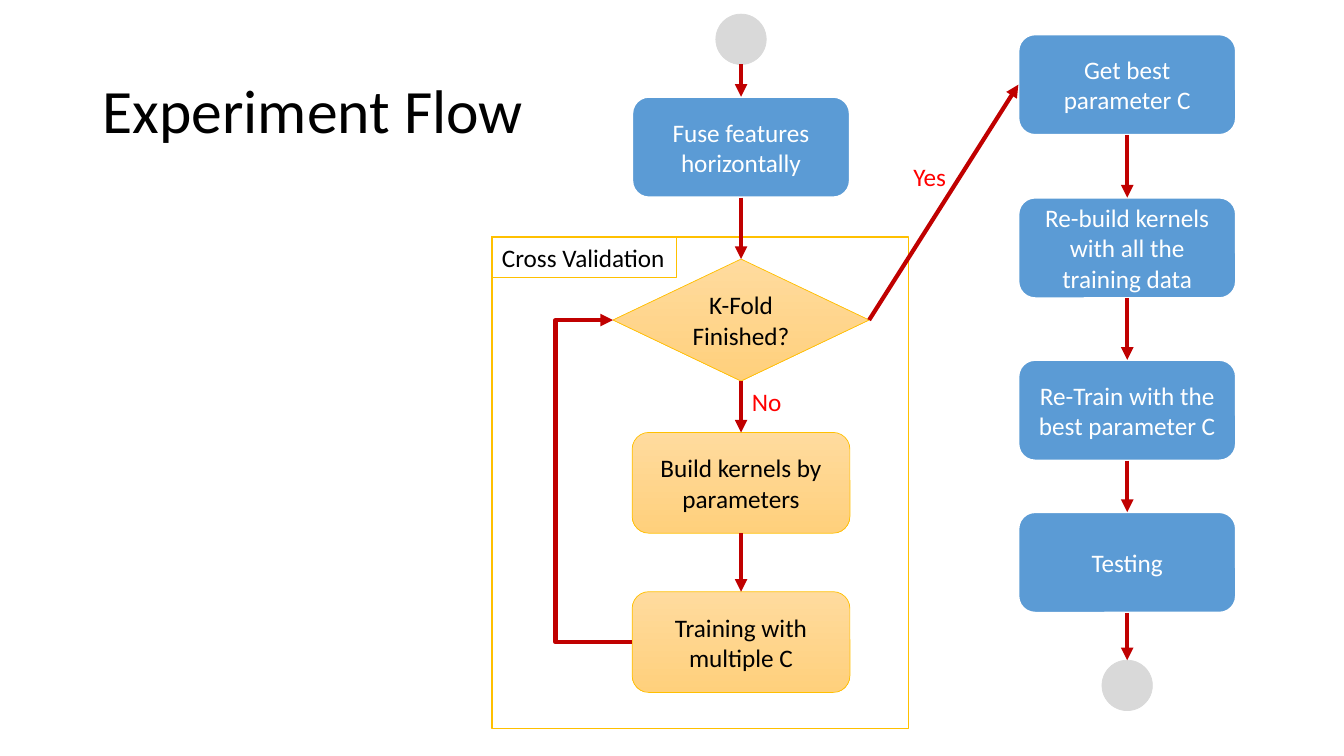
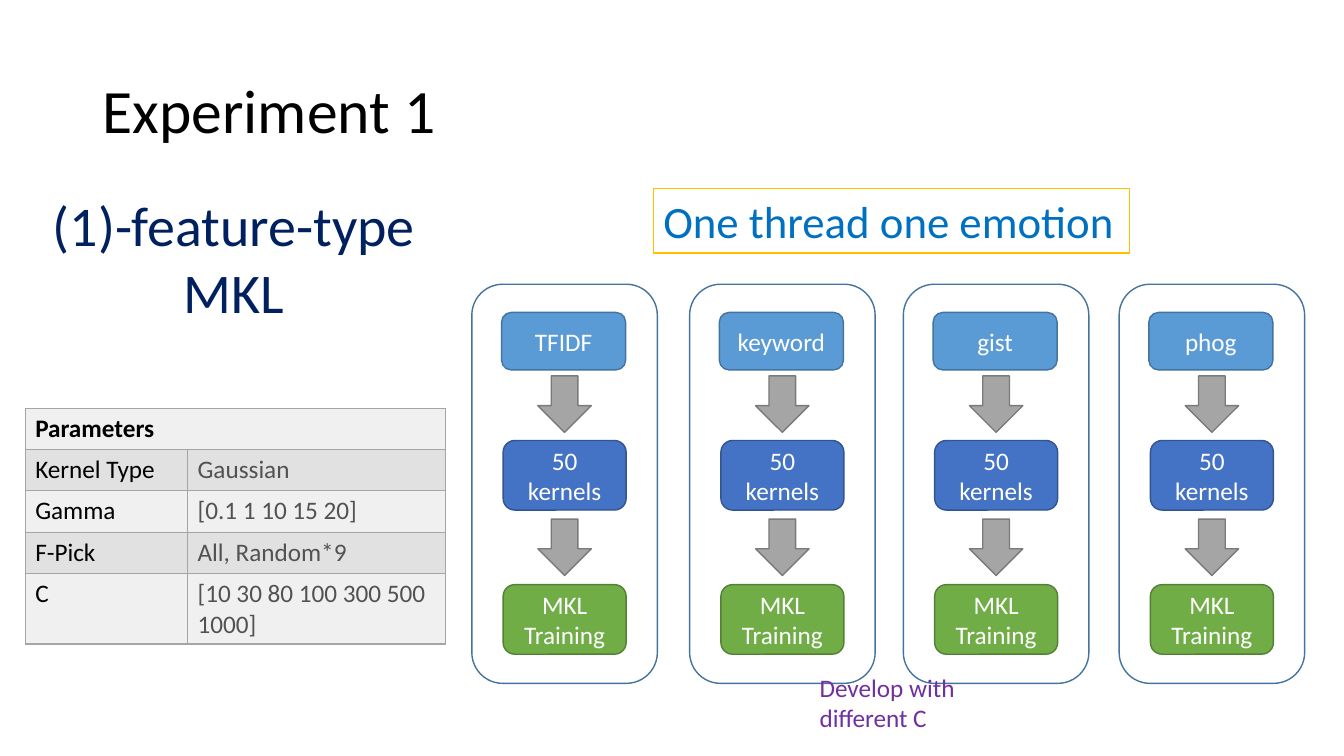
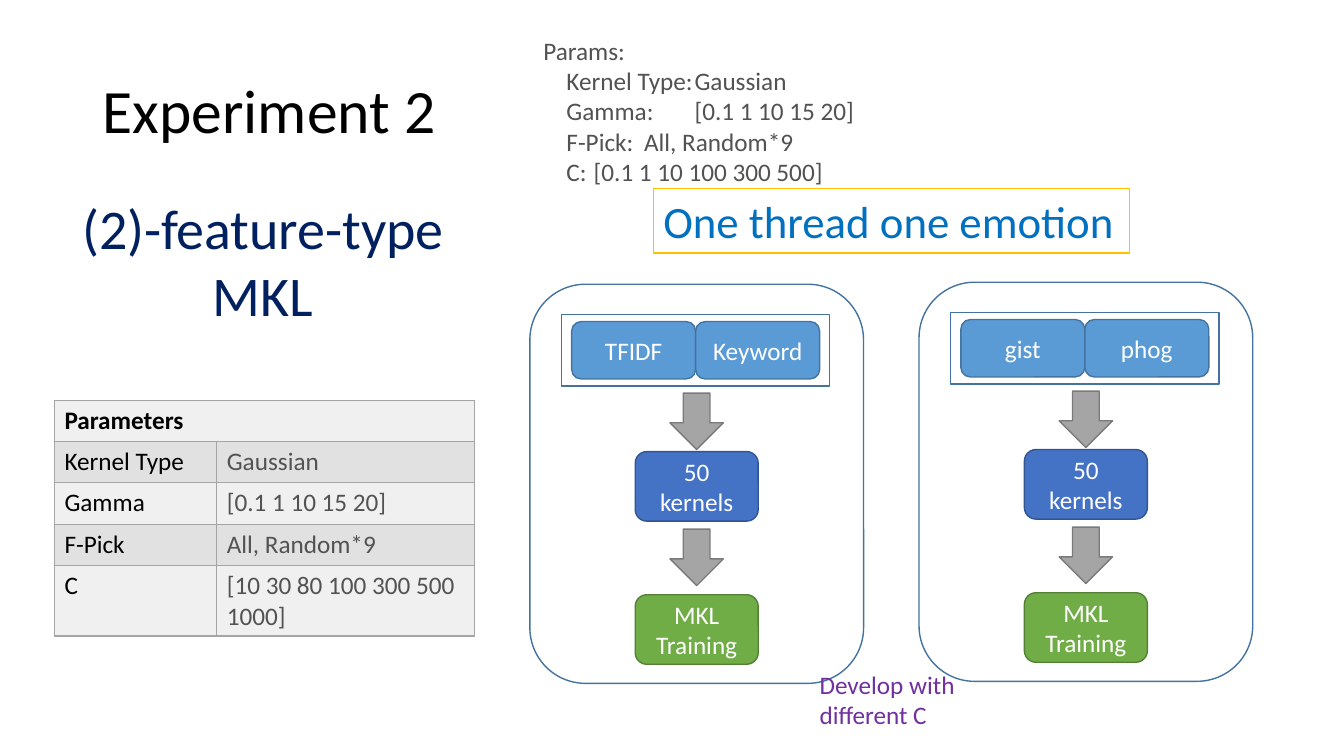
from pptx import Presentation
from pptx.dml.color import RGBColor
from pptx.enum.shapes import MSO_CONNECTOR as CONNECTOR, MSO_SHAPE as SHAPE
from pptx.enum.text import MSO_ANCHOR as ANCHOR, PP_ALIGN as ALIGN
from pptx.oxml.ns import qn
from pptx.util import Inches, Pt
from lxml.etree import SubElement

FONT = "Calibri"
BLACK = RGBColor(0x00, 0x00, 0x00)
WHITE = RGBColor(0xFF, 0xFF, 0xFF)
BLUE = RGBColor(0x5B, 0x9B, 0xD5)
BLUE_EDGE = RGBColor(0x43, 0x73, 0x9E)
INDIGO = RGBColor(0x44, 0x72, 0xC4)
INDIGO_EDGE = RGBColor(0x32, 0x54, 0x91)
GREEN = RGBColor(0x70, 0xAD, 0x47)
GREEN_EDGE = RGBColor(0x53, 0x80, 0x35)
GRAY = RGBColor(0xA5, 0xA5, 0xA5)
GRAY_EDGE = RGBColor(0x7A, 0x7A, 0x7A)
GRAY_TEXT = RGBColor(0x52, 0x52, 0x52)
SILVER = RGBColor(0xD9, 0xD9, 0xD9)
GOLD = RGBColor(0xFF, 0xC0, 0x00)
AMBER = [RGBColor(0xFF, 0xDB, 0x9E), RGBColor(0xFF, 0xD0, 0x7C)]
CRIMSON = RGBColor(0xC0, 0x00, 0x00)
RED = RGBColor(0xFF, 0x00, 0x00)
NAVY = RGBColor(0x00, 0x20, 0x60)
AZURE = RGBColor(0x00, 0x70, 0xC0)
PURPLE = RGBColor(0x70, 0x30, 0xA0)
STRIPES = [RGBColor(0xF0, 0xF0, 0xF0), RGBColor(0xE1, 0xE1, 0xE1)]

COLUMN = ROW = Inches(1)
COLUMNS, ROWS = 13.33, 7.5


def add_box(slide, kind, left, top, width, height, text="", fill=None, line=None, weight=1,
            color=WHITE, size=18, align=ALIGN.CENTER, anchor=ANCHOR.MIDDLE):
    place = [int(left * COLUMN), int(top * ROW), int(width * COLUMN), int(height * ROW)]
    if kind is None:
        shape = slide.shapes.add_textbox(*place)
    else:
        shape = slide.shapes.add_shape(kind, *place)
        shape.shadow.inherit = False
        shape.line.color.rgb = line
        shape.line.width = Pt(weight)
        if fill is None:
            shape.fill.background()
        elif isinstance(fill, list):
            shape.fill.gradient()
            shape.fill.gradient_angle = 270
            for stop, shade in zip(shape.fill.gradient_stops, fill):
                stop.color.rgb = shade
        else:
            shape.fill.solid()
            shape.fill.fore_color.rgb = fill
    frame = shape.text_frame
    frame.word_wrap = True
    frame.vertical_anchor = anchor
    if text:
        frame.text = text
    for paragraph in frame.paragraphs:
        paragraph.alignment = align
        paragraph.font.name = FONT
        paragraph.font.size = Pt(size)
        paragraph.font.color.rgb = color
    return shape


def add_arrow(slide, kind, *ends):
    arrow = slide.shapes.add_connector(kind, *[int(end * COLUMN) for end in ends])
    arrow.line.color.rgb = CRIMSON
    arrow.line.width = Pt(3)
    SubElement(arrow.line._get_or_add_ln(), qn("a:tailEnd"), type="triangle")
    SubElement(arrow._element.spPr, qn("a:effectLst"))
    return arrow


presentation = Presentation()
presentation.slide_width = int(COLUMNS * COLUMN)
presentation.slide_height = int(ROWS * ROW)
slides = []
for title in ["Experiment Flow", "Experiment 1", "Experiment 2"]:
    slide = presentation.slides.add_slide(presentation.slide_layouts[6])
    heading = add_box(slide, None, 0.92, 0.4, 11.5, 1.45, title,
                      color=BLACK, size=44, align=ALIGN.LEFT)
    heading.text_frame.paragraphs[0].line_spacing = 0.9
    slides.append(slide)

flow = slides[0]
STEP_WIDTH, STEP_HEIGHT, DOT = 2.16, 1, 0.5
MIDDLE, RIGHT = 7.35, 11.18
DECISION_TOP, DECISION_WIDTH, DECISION_HEIGHT = 2.57, 2.54, 1.21
decision_middle = DECISION_TOP + DECISION_HEIGHT / 2
decision_bottom = DECISION_TOP + DECISION_HEIGHT

add_box(flow, SHAPE.RECTANGLE, 4.88, 2.35, 4.13, 4.88, line=GOLD)
add_box(flow, SHAPE.RECTANGLE, 4.88, 2.35, 1.83, 0.4, "Cross Validation", line=GOLD, weight=0.75,
        color=BLACK, align=ALIGN.LEFT, anchor=ANCHOR.TOP)
add_box(flow, SHAPE.FLOWCHART_DECISION, MIDDLE - DECISION_WIDTH / 2, DECISION_TOP,
        DECISION_WIDTH, DECISION_HEIGHT, "K-Fold\nFinished?", AMBER, GOLD, 0.5, BLACK)
for center, top, text, fill, line, weight, color in [
    (MIDDLE, 0.96, "Fuse features horizontally", BLUE, WHITE, 1.5, WHITE),
    (MIDDLE, 4.29, "Build kernels by parameters", AMBER, GOLD, 0.5, BLACK),
    (MIDDLE, 5.87, "Training with multiple C", AMBER, GOLD, 0.5, BLACK),
    (RIGHT, 0.34, "Get best parameter C", BLUE, WHITE, 1.5, WHITE),
    (RIGHT, 1.96, "Re-build kernels with all the training data", BLUE, WHITE, 1.5, WHITE),
    (RIGHT, 3.57, "Re-Train with the best parameter C", BLUE, WHITE, 1.5, WHITE),
    (RIGHT, 5.08, "Testing", BLUE, WHITE, 1.5, WHITE),
]:
    add_box(flow, SHAPE.ROUNDED_RECTANGLE, center - STEP_WIDTH / 2, top, STEP_WIDTH, STEP_HEIGHT,
            text, fill, line, weight, color)
for center, top in [(MIDDLE, 0.14), (RIGHT, 6.55)]:
    add_box(flow, SHAPE.OVAL, center - DOT / 2, top, DOT, DOT, fill=SILVER, line=SILVER, weight=0.5)
for center, start, end in [
    (MIDDLE, 0.64, 0.96), (MIDDLE, 1.96, DECISION_TOP), (MIDDLE, decision_bottom, 4.29),
    (MIDDLE, 5.29, 5.87), (RIGHT, 1.34, 1.96), (RIGHT, 2.96, 3.57), (RIGHT, 4.57, 5.08),
    (RIGHT, 6.08, 6.55),
]:
    add_arrow(flow, CONNECTOR.STRAIGHT, center, start, center, end)
add_arrow(flow, CONNECTOR.STRAIGHT, MIDDLE + DECISION_WIDTH / 2, decision_middle,
          RIGHT - STEP_WIDTH / 2, 0.84)
loop_start, loop_end, loop_side = MIDDLE - STEP_WIDTH / 2, MIDDLE - DECISION_WIDTH / 2, 5.51
loop = add_arrow(flow, CONNECTOR.ELBOW, loop_start, 6.37, loop_end, decision_middle)
bend = round(100000 * (loop_start - loop_side) / (loop_start - loop_end))
SubElement(loop._element.spPr.prstGeom.get_or_add_avLst(), qn("a:gd"),
           name="adj1", fmla=f"val {bend}")
for left, top, width, text in [(7.36, 3.78, 0.6, "No"), (8.96, 1.55, 0.66, "Yes")]:
    add_box(flow, None, left, top, width, 0.4, text, color=RED, align=ALIGN.LEFT, anchor=ANCHOR.TOP)

PARAMETERS = [
    ("Parameters", ""),
    ("Kernel Type", "Gaussian"),
    ("Gamma", "[0.1 1 10 15 20]"),
    ("F-Pick", "All, Random*9"),
    ("C", "[10 30 80 100 300 500 1000]"),
]
FRAME_HEIGHT = 3.96
FEATURE_WIDTH, FEATURE_HEIGHT = 1.23, 0.57
STAGES = [
    (SHAPE.DOWN_ARROW, 0.53, 0.56, "", GRAY, GRAY_EDGE),
    (SHAPE.ROUNDED_RECTANGLE, 1.22, 0.69, "50 kernels", INDIGO, INDIGO_EDGE),
    (SHAPE.DOWN_ARROW, 0.53, 0.56, "", GRAY, GRAY_EDGE),
    (SHAPE.ROUNDED_RECTANGLE, 1.22, 0.69, "MKL Training", GREEN, GREEN_EDGE),
]
EXPERIMENTS = [
    (slides[1], "(1)-feature-type MKL", 0.25, 1.84, 4.05, 6.62, 1.84, 0.28, [0.91, 1.55, 2.33, 2.98],
     [(5.6, 2.82, ["TFIDF"]), (7.76, 2.82, ["keyword"]),
      (9.88, 2.82, ["gist"]), (12.02, 2.82, ["phog"])]),
    (slides[2], "(2)-feature-type MKL", 0.54, 1.87, 3.97, 6.59, 3.31, 0.37, [1.08, 1.66, 2.43, 3.08],
     [(6.91, 2.82, ["TFIDF", "Keyword"]), (10.77, 2.8, ["gist", "phog"])]),
]
for (slide, subtitle, left, subtitle_top, table_top, note_top, frame_width,
     feature_offset, stage_offsets, threads) in EXPERIMENTS:
    add_box(slide, None, left, subtitle_top, 4.14, 1.45, subtitle,
            color=NAVY, size=40, anchor=ANCHOR.TOP)
    add_box(slide, SHAPE.RECTANGLE, 6.48, 1.87, 4.72, 0.64, "One thread one emotion", WHITE, GOLD,
            color=AZURE, size=32, align=ALIGN.LEFT, anchor=ANCHOR.TOP)
    for center, top, features in threads:
        add_box(slide, SHAPE.ROUNDED_RECTANGLE, center - frame_width / 2, top,
                frame_width, FRAME_HEIGHT, line=BLUE_EDGE)
        feature_left = center - 0.01 - FEATURE_WIDTH * len(features) / 2
        for index, feature in enumerate(features):
            add_box(slide, SHAPE.ROUNDED_RECTANGLE, feature_left + index * FEATURE_WIDTH,
                    top + feature_offset, FEATURE_WIDTH, FEATURE_HEIGHT, feature, BLUE, BLUE_EDGE)
        if len(features) > 1:
            add_box(slide, SHAPE.RECTANGLE, feature_left - 0.1, top + feature_offset - 0.07,
                    2.66, 0.71, line=BLUE_EDGE)
        for offset, (kind, width, height, text, fill, line) in zip(stage_offsets, STAGES):
            add_box(slide, kind, center - width / 2, top + offset, width, height, text, fill, line)
    add_box(slide, None, 8.03, note_top, 1.62, 0.71, "Develop with\ndifferent C",
            color=PURPLE, align=ALIGN.LEFT, anchor=ANCHOR.TOP)

    table = slide.shapes.add_table(len(PARAMETERS), 2, int(left * COLUMN), int(table_top * ROW),
                                   int(4.17 * COLUMN), int(2.34 * ROW)).table
    for column, width in zip(table.columns, [1.61, 2.56]):
        column.width = int(width * COLUMN)
    for row, height in zip(table.rows, [0.41, 0.41, 0.41, 0.41, 0.7]):
        row.height = int(height * ROW)
    table.cell(0, 0).merge(table.cell(0, 1))
    for row, texts in enumerate(PARAMETERS):
        for column, text in enumerate(texts):
            cell = table.cell(row, column)
            for side in ["a:lnL", "a:lnR", "a:lnT", "a:lnB"]:
                border = SubElement(cell._tc.get_or_add_tcPr(), qn(side), w=str(Pt(1)))
                SubElement(SubElement(border, qn("a:solidFill")), qn("a:srgbClr"), val=str(GRAY))
            cell.fill.solid()
            cell.fill.fore_color.rgb = STRIPES[row % 2]
            if text:
                cell.text = text
                font = cell.text_frame.paragraphs[0].font
                font.name = FONT
                font.size = Pt(18)
                font.bold = row == 0
                font.color.rgb = GRAY_TEXT if column else BLACK

summary = add_box(slides[2], None, 5.29, 0.3, 4.52, 1.62,
                  "Params:\nKernel Type:\tGaussian\nGamma:\t[0.1 1 10 15 20]\n"
                  "F-Pick:\tAll, Random*9\nC:\t[0.1 1 10 100 300 500]",
                  color=GRAY_TEXT, align=ALIGN.LEFT, anchor=ANCHOR.TOP)
for paragraph in summary.text_frame.paragraphs[1:]:
    properties = paragraph._p.get_or_add_pPr()
    properties.set("marL", "0")
    properties.set("indent", str(int(0.23 * COLUMN)))
    tabs = properties.makeelement(qn("a:tabLst"))
    properties.insert(0, tabs)
    SubElement(tabs, qn("a:tab"), pos=str(2 * COLUMN), algn="l")

presentation.save("out.pptx")
